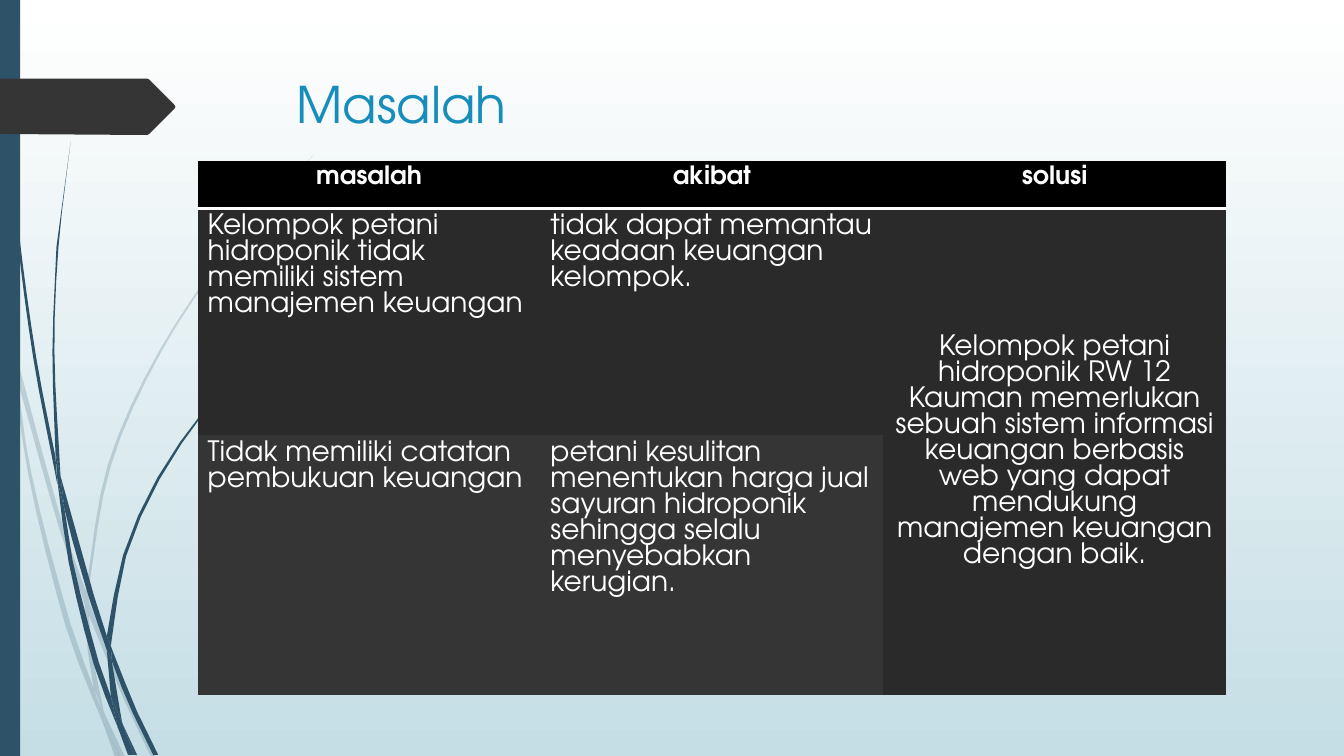
from dataclasses import dataclass
from math import dist
from typing import NamedTuple

from lxml.etree import SubElement
from pptx import Presentation
from pptx.dml.color import RGBColor
from pptx.enum.shapes import MSO_SHAPE
from pptx.enum.text import MSO_ANCHOR, MSO_AUTO_SIZE, PP_ALIGN
from pptx.oxml import parse_xml
from pptx.oxml.ns import nsdecls, qn
from pptx.util import Inches, Pt

CELL = Inches(0.01)  # the slide is a grid of 1333 columns and 750 rows
COLUMNS, ROWS = 1333, 750
CURVE_STEP = 35  # longest straight piece of a curve, in cells
NO_GRID_STYLE = "{2D5ABB26-0587-4C30-8999-92F81FD0307C}"
Point = tuple[float, float]


@dataclass(frozen=True)
class Theme:
    font: str = "TeX Gyre Adventor"
    title: str = "178DBB"
    grass: str = "2E5369"
    arrow: str = "353535"
    sky: tuple = ("FFFFFF", "C5DEE5")
    header: str = "000000"
    bands: tuple = ("2A2A2A", "353535")
    text: str = "FFFFFF"
    title_size: int = 36
    header_size: int = 18
    body_size: int = 20


class Box(NamedTuple):
    left: int
    top: int
    width: int
    height: int

    def place(self) -> list[int]:
        return [value * CELL for value in self]


class Blade(NamedTuple):
    """A piece of grass: one edge out, the other edge back."""
    out: list[Point]
    back: list[Point]


THEME = Theme()

PALE_GRASS = [
    Blade([(11, 350), (9, 322), (0, 282)], [(0, 299), (10, 344)]),
    Blade([(17, 376), (58, 522), (84, 599)], [(85, 586), (62, 520), (14, 345)]),
    Blade([(88, 610), (123, 694), (150, 751)], [(155, 751), (127, 692), (92, 607), (88, 596)]),
    Blade([(105, 711), (119, 751)], [(124, 751)]),
    Blade([(11, 350), (28, 470), (65, 621), (92, 693), (101, 714)],
          [(99, 707), (93, 683), (70, 619), (31, 469), (17, 376)]),
    Blade([(84, 599), (87, 646), (93, 683), (105, 711)], [(103, 706), (91, 646), (88, 608)]),
    Blade([(85, 586), (107, 461), (158, 348), (228, 244), (268, 197), (312, 153)],
          [(268, 198), (229, 245), (160, 349), (110, 462), (88, 584), (88, 596)]),
    Blade([(101, 714), (114, 751)], [(119, 751)]),
    Blade([(88, 608), (88, 596)], [(85, 586), (84, 599)]),
    Blade([(93, 683), (101, 714), (119, 751)], [(105, 711), (96, 692)]),
]
DARK_GRASS = [
    Blade([(3, 0), (7, 110), (17, 233), (33, 355), (57, 481)],
          [(55, 453), (36, 355), (19, 232), (8, 109), (4, 0)]),
    Blade([(60, 472), (64, 505), (88, 592), (106, 645)], [(106, 631), (93, 590)]),
    Blade([(110, 641), (111, 656), (132, 708), (152, 749)], [(157, 749), (136, 706), (113, 649)]),
    Blade([(57, 477), (68, 557), (93, 659), (117, 722)],
          [(110, 691), (98, 657), (72, 556), (64, 505)]),
    Blade([(60, 472), (54, 349), (58, 245), (70, 141)], [(56, 245), (52, 349), (55, 449)]),
    Blade([(122, 719), (133, 749)], [(136, 749)]),
    Blade([(55, 449), (57, 477), (64, 505)], [(60, 472)]),
    Blade([(106, 631), (122, 551), (156, 474), (204, 405), (260, 344)],
          [(261, 344), (205, 406), (158, 476), (125, 552), (111, 633), (110, 641)]),
    Blade([(117, 722), (127, 749)], [(131, 749)]),
    Blade([(106, 645), (110, 691), (122, 719)], [(121, 716), (111, 656)]),
    Blade([(106, 631), (106, 645), (111, 656)], [(110, 641)]),
    Blade([(110, 691), (117, 722), (130, 749)], [(133, 749), (122, 719)]),
]
ARROW = [(0, 78), (146, 78), (148, 79), (173, 104), (174, 106), (173, 108),
         (148, 133), (146, 134), (0, 133)]

TABLE_BOX = Box(196, 160, 1020, 530)
ROW_HEIGHTS = (47, 225, 258)
CONTENT = [
    ("masalah", "akibat", "solusi"),
    ("Kelompok petani hidroponik tidak memiliki sistem manajemen keuangan",
     "tidak dapat memantau keadaan keuangan kelompok.",
     "Kelompok petani hidroponik RW 12 Kauman memerlukan sebuah sistem informasi "
     "keuangan berbasis web yang dapat mendukung manajemen keuangan dengan baik."),
    ("Tidak memiliki catatan pembukuan keuangan",
     "petani kesulitan menentukan harga jual sayuran hidroponik sehingga selalu "
     "menyebabkan kerugian."),
]


def color(value: str) -> RGBColor:
    return RGBColor.from_string(value)


def paint(shape, fill: str, opacity: int = 100) -> None:
    shape.shadow.inherit = False
    shape.fill.solid()
    shape.fill.fore_color.rgb = color(fill)
    shape.line.fill.background()
    if opacity < 100:
        tint = shape._element.spPr.find(".//" + qn("a:srgbClr"))
        SubElement(tint, qn("a:alpha"), val=str(opacity * 1000))


def smooth(edge: list[Point]) -> list[Point]:
    """Hermite curve through the points, tangents scaled to each chord."""
    def heading(i: int) -> Point:
        before, after = edge[max(i - 1, 0)], edge[min(i + 1, len(edge) - 1)]
        length = dist(before, after) or 1
        return (after[0] - before[0]) / length, (after[1] - before[1]) / length

    curve = [edge[0]]
    for i, (start, end) in enumerate(zip(edge, edge[1:])):
        chord, leave, arrive = dist(start, end), heading(i), heading(i + 1)
        steps = max(1, round(chord / CURVE_STEP))
        for step in range(1, steps + 1):
            t = step / steps
            ease = t * t * (3 - 2 * t)
            pull, push = t * (1 - t) ** 2 * chord, t * t * (t - 1) * chord
            curve.append(tuple(start[k] + (end[k] - start[k]) * ease
                               + leave[k] * pull + arrive[k] * push for k in (0, 1)))
    return curve


def draw_outline(slide, points: list[Point], fill: str, opacity: int = 100) -> None:
    fine = [(10 * x, 10 * y) for x, y in points]
    builder = slide.shapes.build_freeform(*fine[0], scale=CELL / 10)
    builder.add_line_segments(fine[1:], close=True)
    paint(builder.convert_to_shape(), fill, opacity)


def write(frame, text: str, size: int, ink: str, align=PP_ALIGN.LEFT, bold=False) -> None:
    frame.text = text
    paragraph = frame.paragraphs[0]
    paragraph.alignment = align
    font = paragraph.font
    font.name, font.size, font.bold = THEME.font, Pt(size), bold
    font.color.rgb = color(ink)


def fill_cell(cell, text: str, row: int, column: int) -> None:
    heading, solution = row == 0, column == 2
    cell.fill.solid()
    cell.fill.fore_color.rgb = color(THEME.header if heading else THEME.bands[row - 1])
    write(cell.text_frame, text, THEME.header_size if heading else THEME.body_size, THEME.text,
          PP_ALIGN.CENTER if heading or solution else PP_ALIGN.LEFT, heading)
    if heading:
        cell._tc.get_or_add_tcPr().insert(0, parse_xml(
            f'<a:lnB {nsdecls("a")} w="{Pt(2)}"><a:solidFill>'
            f'<a:srgbClr val="{THEME.text}"/></a:solidFill></a:lnB>'))
    elif solution:
        cell.vertical_anchor = MSO_ANCHOR.MIDDLE


deck = Presentation()
deck.slide_width, deck.slide_height = COLUMNS * CELL, ROWS * CELL
slide = deck.slides.add_slide(deck.slide_layouts[5])

# Sky
sky = slide.background.fill
sky.gradient()
sky.gradient_angle = 270
for stop, position, tone in zip(sky.gradient_stops, (0, 1), THEME.sky):
    stop.position, stop.color.rgb = position, color(tone)

# Grass, side bar and arrow
for blades, opacity in ((PALE_GRASS, 20), (DARK_GRASS, 100)):
    for blade in blades:
        draw_outline(slide, smooth(blade.out) + smooth(blade.back), THEME.grass, opacity)
side_bar = slide.shapes.add_shape(MSO_SHAPE.RECTANGLE, *Box(0, 0, 20, ROWS).place())
paint(side_bar, THEME.grass)
draw_outline(slide, ARROW, THEME.arrow)

# Title
title = slide.shapes.title
title.left, title.top, title.width, title.height = Box(284, 68, 975, 140).place()
write(title.text_frame, "Masalah", THEME.title_size, THEME.title)
title.text_frame.vertical_anchor = MSO_ANCHOR.TOP
title.text_frame.auto_size = MSO_AUTO_SIZE.NONE

# Problem table
problems = slide.shapes.add_table(len(CONTENT), 3, *TABLE_BOX.place()).table
problems.horz_banding = False
problems._tbl.tblPr.find(qn("a:tableStyleId")).text = NO_GRID_STYLE
for table_row, height in zip(problems.rows, ROW_HEIGHTS):
    table_row.height = height * CELL
problems.cell(1, 2).merge(problems.cell(2, 2))
for row, texts in enumerate(CONTENT):
    for column, text in enumerate(texts):
        fill_cell(problems.cell(row, column), text, row, column)

deck.save("out.pptx")
